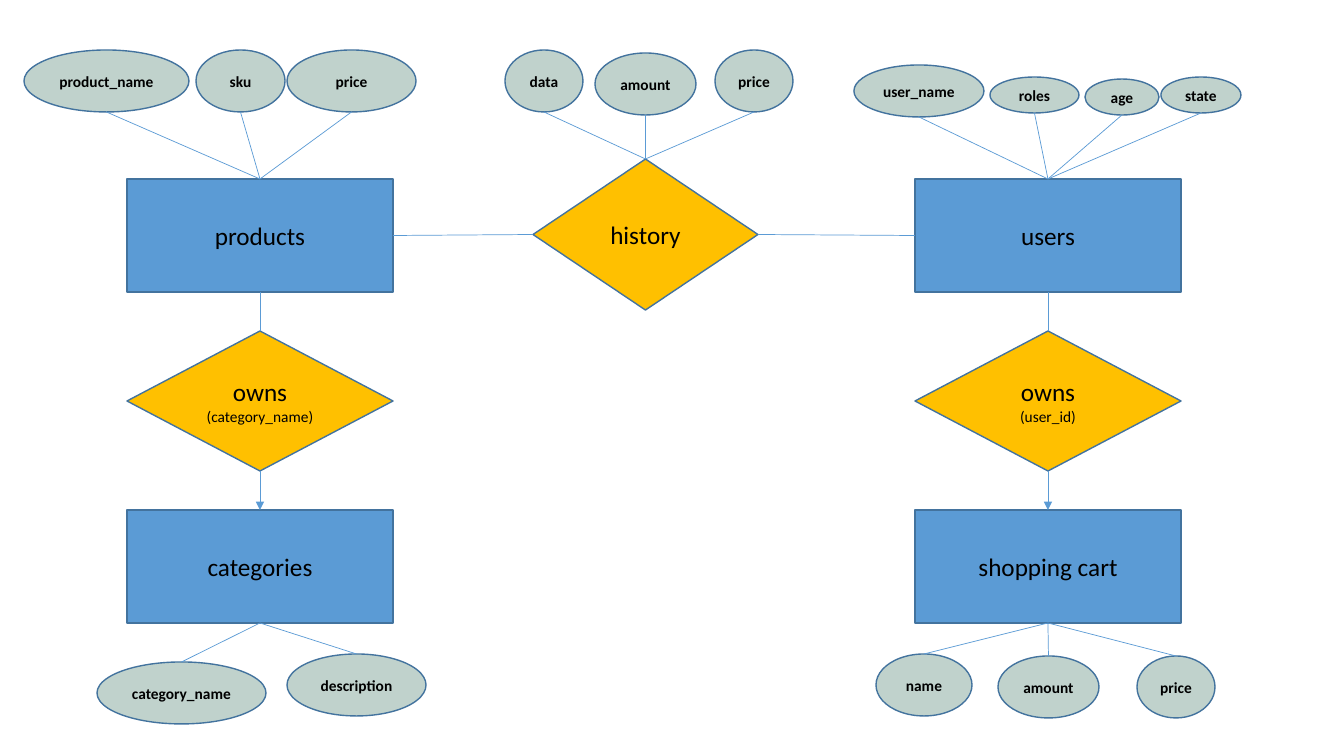
from lxml import etree
from pptx import Presentation
from pptx.dml.color import RGBColor
from pptx.enum import shapes, text
from pptx.oxml.ns import qn
from pptx.util import Pt

PX = 914400 / 100.8
THEME = {
    "font": "Calibri", "ink": "000000", "outline": "43739E", "link": "5B9BD5",
    "entity": "5B9BD5", "relation": "FFC000", "attribute": "C0D2CC",
    "name_size": 18, "detail_size": 11, "outline_width": 1, "link_width": 0.5,
}
GEOMETRY = {
    "entity": shapes.MSO_SHAPE.RECTANGLE,
    "relation": shapes.MSO_SHAPE.FLOWCHART_DECISION,
    "attribute": shapes.MSO_SHAPE.OVAL,
}
TOP, LEFT, BOTTOM, RIGHT = range(4)

# Two columns of entity, relation, entity; each attribute is (name, x, y, w, h)
COLUMN_WIDTH, ENTITY_HEIGHT, OWNS_HEIGHT, GAP = 266, 113, 140, 39
COLUMN_TOP = 179
COLUMNS = [
    {"x": 127, "upper": "products", "key": "(category_name)", "lower": "categories",
     "upper_attributes": [("product_name", 24, 50, 165, 62), ("sku", 196, 50, 89, 62),
                          ("price", 287, 50, 129, 62)],
     "lower_attributes": [("category_name", 97, 662, 169, 62),
                          ("description", 287, 654, 139, 62)]},
    {"x": 915, "upper": "users", "key": "(user_id)", "lower": "shopping cart",
     "upper_attributes": [("user_name", 854, 65, 130, 52), ("roles", 990, 77, 89, 36),
                          ("age", 1085, 79, 74, 36), ("state", 1161, 77, 80, 36)],
     "lower_attributes": [("name", 876, 654, 96, 62), ("amount", 998, 656, 101, 62),
                          ("price", 1137, 656, 78, 62)]},
]
HISTORY_BOX = (533, 159, 225, 151)
HISTORY_ATTRIBUTES = [("data", 505, 50, 78, 62), ("amount", 595, 53, 101, 62),
                      ("price", 715, 50, 78, 62)]

deck = Presentation()
deck.slide_width, deck.slide_height = round(1344 * PX), round(756 * PX)
slide = deck.slides.add_slide(deck.slide_layouts[6])


def color(role):
    return RGBColor.from_string(THEME[role])


def add_node(kind, lines, box):
    """Draw a labelled node; lines are (wording, size role) pairs."""
    node = slide.shapes.add_shape(GEOMETRY[kind], *(round(v * PX) for v in box))
    node.shadow.inherit = False
    node.fill.solid()
    node.fill.fore_color.rgb = color(kind)
    node.line.color.rgb = color("outline")
    node.line.width = Pt(THEME["outline_width"])
    label = node.text_frame
    label.word_wrap = kind != "attribute"
    label.vertical_anchor = text.MSO_ANCHOR.MIDDLE
    for i, (wording, size) in enumerate(lines):
        line = label.add_paragraph() if i else label.paragraphs[0]
        line.text = wording
        line.alignment = text.PP_ALIGN.CENTER
        line.font.name, line.font.size = THEME["font"], Pt(THEME[size])
        line.font.bold = kind == "attribute"
        line.font.color.rgb = color("ink")
    return node


def add_link(start, start_side, end, end_side, arrow=False):
    link = slide.shapes.add_connector(shapes.MSO_CONNECTOR.STRAIGHT, 0, 0, 0, 0)
    link.begin_connect(start, start_side)
    if end.auto_shape_type == GEOMETRY["attribute"]:
        # An oval numbers its connection sites differently, so place the end directly
        link.end_x = end.left + end.width // 2
        link.end_y = end.top + (end.height if end_side == BOTTOM else 0)
    else:
        link.end_connect(end, end_side)
    link.line.color.rgb = color("link")
    link.line.width = Pt(THEME["link_width"])
    if arrow:
        etree.SubElement(link.line._get_or_add_ln(), qn("a:tailEnd"), type="triangle")
    etree.SubElement(link._element.spPr, qn("a:effectLst"))


def add_attributes(owner, side, attributes):
    for name, *box in attributes:
        attribute = add_node("attribute", [(name, "detail_size")], box)
        add_link(owner, side, attribute, BOTTOM if side == TOP else TOP)


# Columns
owns_top = COLUMN_TOP + ENTITY_HEIGHT + GAP
lower_top = owns_top + OWNS_HEIGHT + GAP
upper_entities = []
for column in COLUMNS:
    x = column["x"]
    upper, lower = (
        add_node("entity", [(column[place], "name_size")], (x, y, COLUMN_WIDTH, ENTITY_HEIGHT))
        for place, y in (("upper", COLUMN_TOP), ("lower", lower_top)))
    owns = add_node("relation", [("owns", "name_size"), (column["key"], "detail_size")],
                    (x, owns_top, COLUMN_WIDTH, OWNS_HEIGHT))
    add_link(upper, BOTTOM, owns, TOP)
    add_link(owns, BOTTOM, lower, TOP, arrow=True)
    add_attributes(upper, TOP, column["upper_attributes"])
    add_attributes(lower, BOTTOM, column["lower_attributes"])
    upper_entities.append(upper)

# History relation between the two upper entities
products, users = upper_entities
history = add_node("relation", [("history", "name_size")], HISTORY_BOX)
add_link(history, LEFT, products, RIGHT)
add_link(history, RIGHT, users, LEFT)
add_attributes(history, TOP, HISTORY_ATTRIBUTES)

deck.save("out.pptx")
